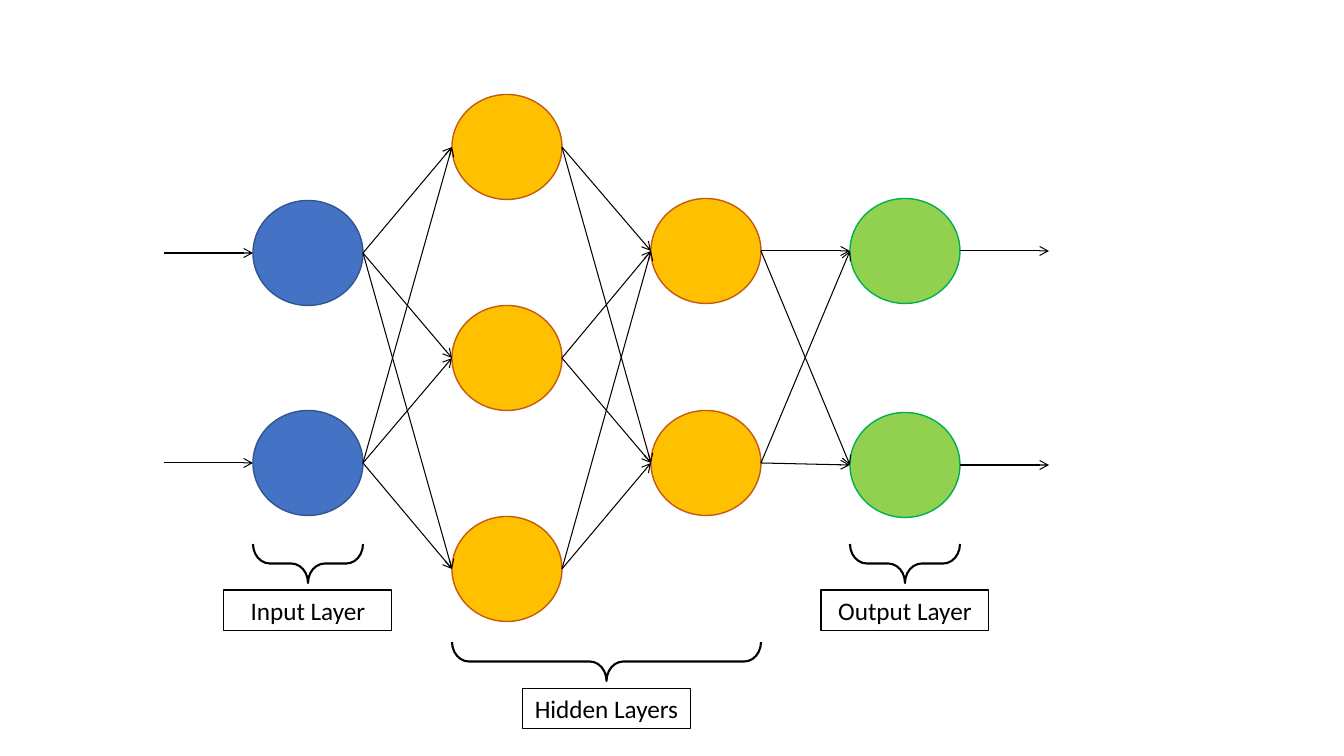
import itertools
import pptx
import pptx.util
import pptx.dml.color
import pptx.oxml
import pptx.oxml.ns
from pptx.enum.shapes import MSO_CONNECTOR, MSO_SHAPE
from pptx.enum.text import MSO_ANCHOR, PP_ALIGN

# Content: each layer has its fill, outline and the centre heights of its nodes
LAYERS = [
    ("4472C4", "325491", [253, 463]),
    ("FFC000", "C55A11", [147, 358, 569]),
    ("FFC000", "C55A11", [251, 463]),
    ("92D050", "00B050", [251, 465]),
]
# Label, first layer, last layer, top of its brace
GROUPS = [
    ("Hidden Layers", 1, 2, 642),
    ("Output Layer", 3, 3, 544),
    ("Input Layer", 0, 0, 544),
]

# Layout in pixels
SCALE = 914400 / 100.8
FIRST_LEFT, PITCH = 253, 199
NODE_WIDTH, NODE_HEIGHT = 110, 105
GAP = PITCH - NODE_WIDTH
BRACE_DEPTH = 39
LABEL_DROP, LABEL_WIDTH, LABEL_HEIGHT = 46, 168, 41
BLACK = "000000"


def emu(*pixels):
    return [round(value * SCALE) for value in pixels]


def color(hex_string):
    return pptx.dml.color.RGBColor.from_string(hex_string)


def set_line(item, line_color, width):
    item.line.color.rgb = color(line_color)
    item.line.width = pptx.util.Pt(width)


def add_outline(kind, left, top, width, height, line_color, weight, fill=None):
    shape = page.shapes.add_shape(kind, *emu(left, top, width, height))
    shape.shadow.inherit = False
    if fill:
        shape.fill.solid()
        shape.fill.fore_color.rgb = color(fill)
    else:
        shape.fill.background()
    set_line(shape, line_color, weight)
    return shape


def add_arrow(start_x, start_y, end_x, end_y):
    arrow = page.shapes.add_connector(
        MSO_CONNECTOR.STRAIGHT, *emu(start_x, start_y, end_x, end_y))
    set_line(arrow, BLACK, 0.75)
    line_xml = arrow.line._get_or_add_ln()
    line_xml.append(pptx.oxml.parse_xml(
        '<a:tailEnd %s type="arrow"/>' % pptx.oxml.ns.nsdecls("a")))
    line_xml.addnext(pptx.oxml.parse_xml(
        "<a:effectLst %s/>" % pptx.oxml.ns.nsdecls("a")))


def write(box, text, size=18, font="Calibri", text_color=BLACK, align=PP_ALIGN.CENTER):
    frame = box.text_frame
    frame.word_wrap = True
    frame.vertical_anchor = MSO_ANCHOR.TOP
    para = frame.paragraphs[0]
    para.alignment = align
    span = para.add_run()
    span.text = text
    span.font.size = pptx.util.Pt(size)
    span.font.name = font
    span.font.color.rgb = color(text_color)


def layer_left(index):
    return FIRST_LEFT + index * PITCH


deck = pptx.Presentation()
deck.slide_width, deck.slide_height = emu(1344, 756)
page = deck.slides.add_slide(deck.slide_layouts[6])

# Nodes
for index, (fill, outline, centers) in enumerate(LAYERS):
    for center in centers:
        add_outline(MSO_SHAPE.OVAL, layer_left(index), center - NODE_HEIGHT / 2,
                    NODE_WIDTH, NODE_HEIGHT, outline, 1, fill)

# Connections between neighbouring layers
heights = [centers for _, _, centers in LAYERS]
for index, (sources, targets) in enumerate(zip(heights, heights[1:]), start=1):
    right = layer_left(index)
    for source, target in itertools.product(sources, targets):
        add_arrow(right - GAP, source, right, target)

# Arrows into the first layer and out of the last
for right, centers in [(layer_left(0), heights[0]), (layer_left(len(LAYERS)), heights[-1])]:
    for center in centers:
        add_arrow(right - GAP, center, right, center)

# Braces, turned to point down, and their labels
for text, first, last, top in GROUPS:
    span_width = layer_left(last) + NODE_WIDTH - layer_left(first)
    middle = layer_left(first) + span_width / 2
    brace = add_outline(MSO_SHAPE.RIGHT_BRACE, middle - BRACE_DEPTH / 2,
                        top + (BRACE_DEPTH - span_width) / 2,
                        BRACE_DEPTH, span_width, BLACK, 1.5)
    brace.rotation = 90
    brace.adjustments[0] = 0.43
    label = page.shapes.add_textbox(*emu(middle - LABEL_WIDTH / 2, top + LABEL_DROP,
                                         LABEL_WIDTH, LABEL_HEIGHT))
    set_line(label, BLACK, 0.75)
    write(label, text)

deck.save("out.pptx")
